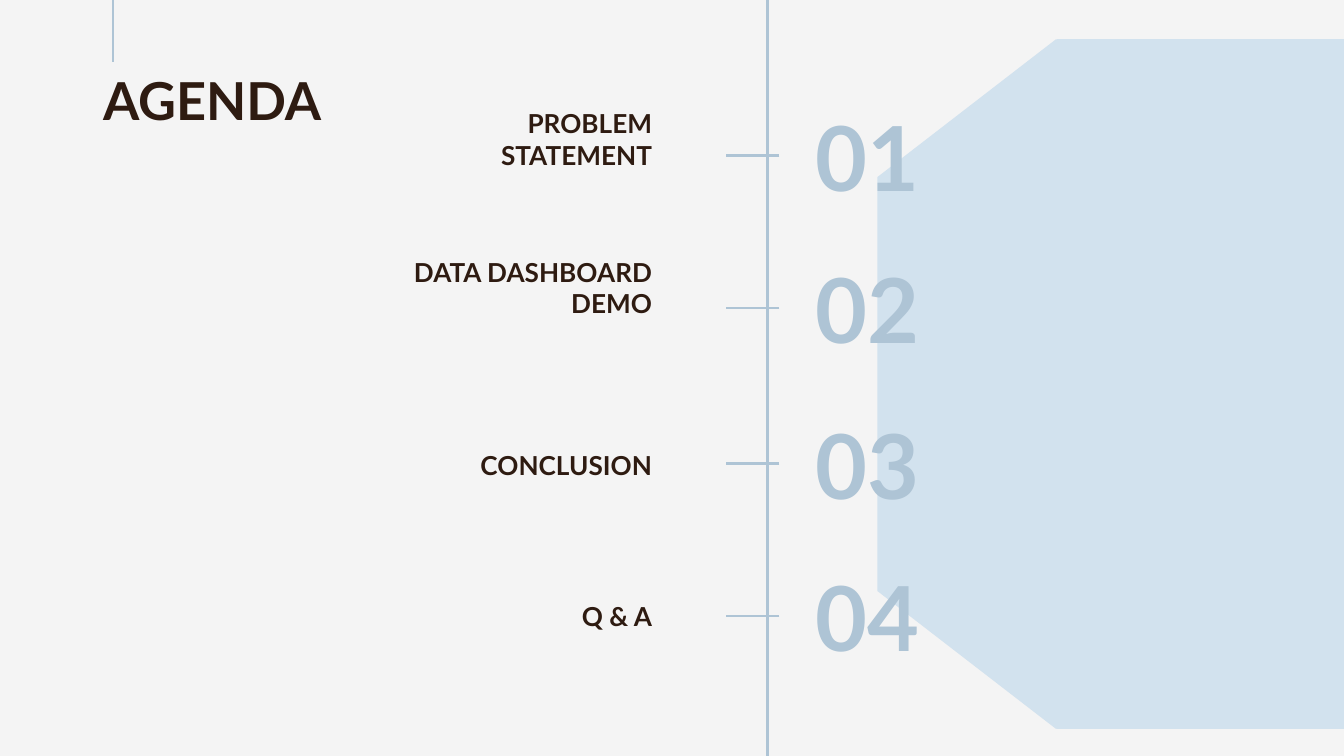
from dataclasses import dataclass

from lxml.etree import SubElement
from pptx import Presentation
from pptx.dml.color import RGBColor
from pptx.enum.shapes import MSO_CONNECTOR, MSO_SHAPE
from pptx.enum.text import MSO_ANCHOR as ANCHOR, MSO_AUTO_SIZE, PP_ALIGN as ALIGN
from pptx.oxml.ns import qn
from pptx.util import Pt


@dataclass(frozen=True)
class Theme:
    font: str = "Lato"
    background: RGBColor = RGBColor.from_string("F4F4F4")
    panel: RGBColor = RGBColor.from_string("D2E2EE")
    accent: RGBColor = RGBColor.from_string("AEC4D5")
    ink: RGBColor = RGBColor.from_string("2E1B11")
    title_size: int = 28
    label_size: int = 14
    number_size: int = 48
    line_width: float = 1.5


THEME = Theme()
WIDTH, HEIGHT = 720, 405


def place(sp, x, y, w, h):
    sp.left, sp.top, sp.width, sp.height = Pt(x), Pt(y), Pt(w), Pt(h)


def write(sp, text, size, color, align, anchor):
    tf = sp.text_frame
    tf.text = text
    tf.word_wrap = True
    tf.auto_size = MSO_AUTO_SIZE.NONE
    tf.vertical_anchor = anchor
    tf.margin_left = tf.margin_top = tf.margin_right = tf.margin_bottom = Pt(7.2)
    p = tf.paragraphs[0]
    p.alignment = align
    font = p.runs[0].font
    font.name, font.size, font.bold = THEME.font, Pt(size), True
    font.color.rgb = color


def add_text(s, box, *style):
    write(s.shapes.add_textbox(*map(Pt, box)), *style)


def add_line(s, x1, y1, x2, y2):
    line = s.shapes.add_connector(MSO_CONNECTOR.STRAIGHT, Pt(x1), Pt(y1), Pt(x2), Pt(y2))
    line.line.color.rgb = THEME.accent
    line.line.width = Pt(THEME.line_width)
    SubElement(line._element.spPr, qn("a:effectLst"))


def add_panel_part(s, kind, x, y, w, h):
    sp = s.shapes.add_shape(kind, Pt(x), Pt(y), Pt(w), Pt(h))
    sp.shadow.inherit = False
    sp.fill.solid()
    sp.fill.fore_color.rgb = THEME.panel
    sp.line.fill.background()
    return sp


def add_panel(s, x, y, w, h):
    bevel_w, body_x = 191.5, 96
    bevel = add_panel_part(s, MSO_SHAPE.FLOWCHART_PREPARATION,
                           x + (bevel_w - h) / 2, y + (h - bevel_w) / 2, h, bevel_w)
    bevel.rotation = 90
    add_panel_part(s, MSO_SHAPE.RECTANGLE, x + body_x, y, w - body_x, h)


def add_title(s, x, y, w, h):
    place(s.shapes.title, x, y, w, h)
    write(s.shapes.title, "AGENDA", THEME.title_size, THEME.ink, ALIGN.LEFT, ANCHOR.TOP)
    add_line(s, x + 12.5, 0, x + 12.5, y + 3.5)


def add_agenda(s, x, y, w, h, items):
    axis_x, label_right, label_h = x + 223, x + 168.5, 31
    number_w, number_h = 91.5, 45.5
    add_line(s, axis_x, y, axis_x, y + h)
    for i, (label, label_w, tick_y, drop) in enumerate(items, 1):
        mid = y + tick_y
        add_text(s, (label_right - label_w, mid + drop - label_h, label_w, label_h),
                 label, THEME.label_size, THEME.ink, ALIGN.RIGHT, ANCHOR.BOTTOM)
        add_text(s, (x + w - number_w, mid - number_h / 2, number_w, number_h),
                 f"{i:02}", THEME.number_size, THEME.accent, ALIGN.LEFT, ANCHOR.MIDDLE)
        add_line(s, axis_x + 6.5, mid, axis_x - 22, mid)


def main():
    prs = Presentation()
    prs.slide_width, prs.slide_height = Pt(WIDTH), Pt(HEIGHT)
    s = prs.slides.add_slide(prs.slide_layouts[5])
    s.background.fill.solid()
    s.background.fill.fore_color.rgb = THEME.background
    add_panel(s, 470, 21, WIDTH - 470, 369.5)
    add_title(s, 48, 29.5, 201.5, 74)
    items = [
        ("PROBLEM STATEMENT", 155.5, 83.5, 15),
        ("DATA DASHBOARD DEMO", 168.5, 165, 13),
        ("CONCLUSION", 141, 248.5, 16.5),
        ("Q & A", 129.5, 330, 15.5),
    ]
    add_agenda(s, 188, 0, 333.5, HEIGHT, items)
    prs.save("out.pptx")


if __name__ == "__main__":
    main()
